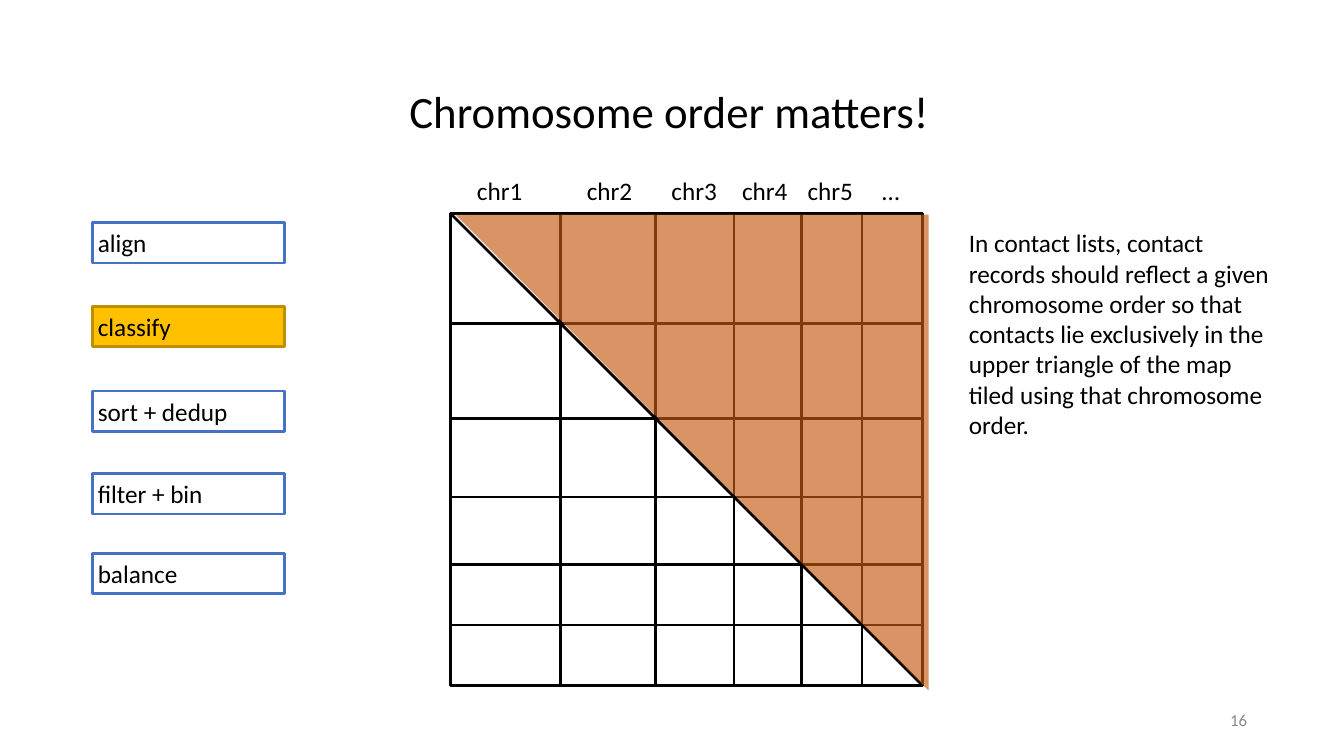
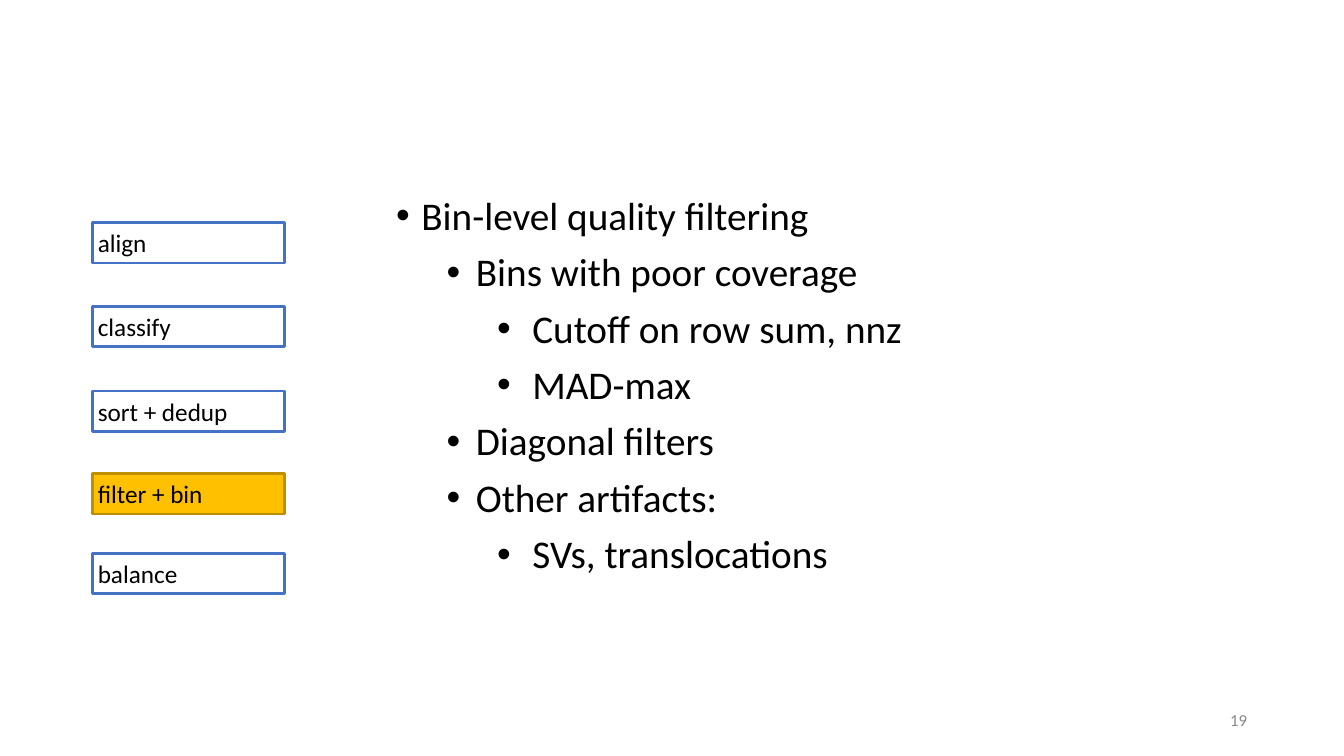
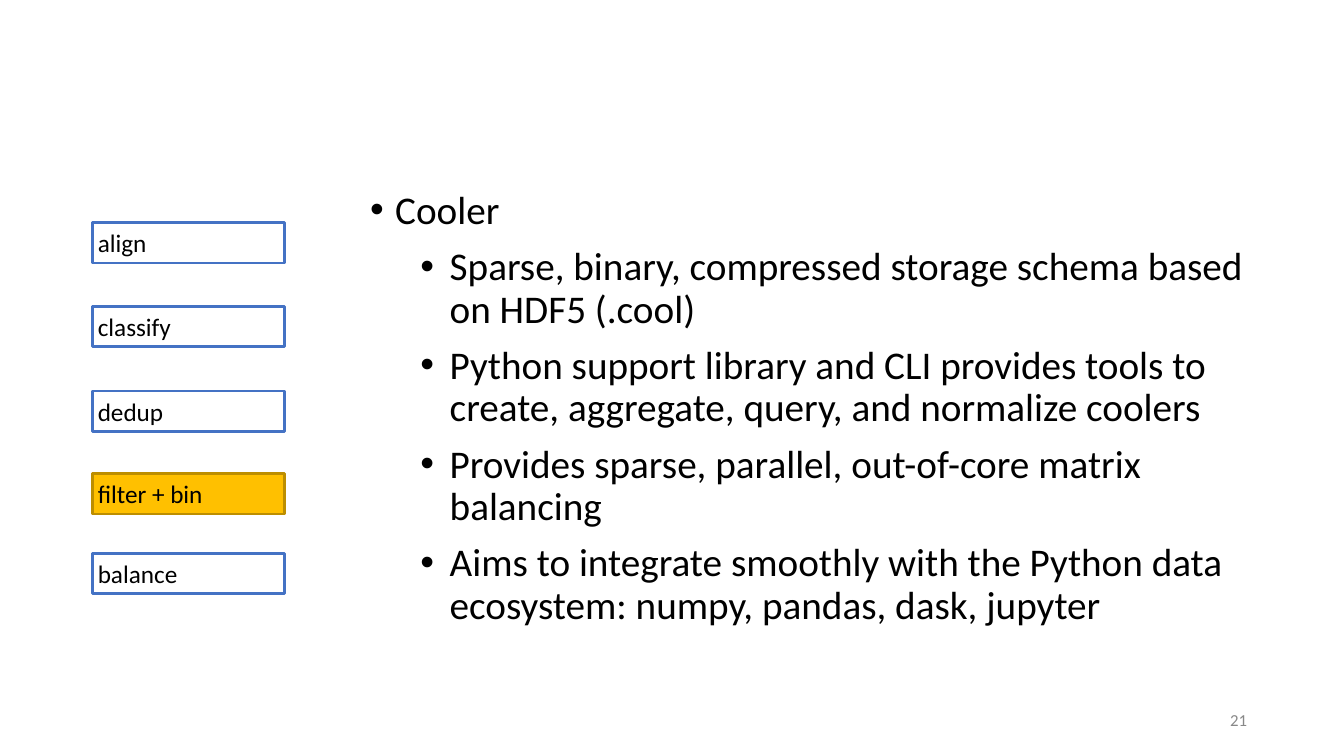
"""Build three slides on classifying, filtering and storing contact maps."""
from itertools import accumulate

from lxml.etree import SubElement
from pptx import Presentation
from pptx.dml.color import RGBColor
from pptx.enum.shapes import MSO_CONNECTOR, MSO_SHAPE
from pptx.enum.text import MSO_ANCHOR, MSO_AUTO_SIZE, PP_ALIGN
from pptx.oxml.ns import qn
from pptx.util import Inches, Pt

THEME = {
    "font": "Calibri",
    "text": "000000",
    "muted": "888888",
    "step": {"fill": "FFFFFF", "line": "4472C4"},
    "active": {"fill": "FFC000", "line": "BD8E00"},
    "map": {"fill": "FFFFFF", "line": "000000"},
    "triangle": "C55A11",
    "triangle_alpha": 65,
    "line_width": 2,
    "inset": 0.05,
    "title_size": 32,
    "list_size": 28,
    "label_size": 18,
    "number_size": 12,
}

STEP_LEFT, STEP_WIDTH, STEP_HEIGHT = 0.92, 1.9, 0.4
STEP_TOPS = (2.21, 3.04, 3.88, 4.7, 5.49)
STEPS = ("align", "classify", "sort + dedup", "filter + bin", "balance")
STEPS_SHORT = ("align", "classify", "dedup", "filter + bin", "balance")

NUMBER_BOX = (12.13, 7, 0.29, 0.29)
TITLE_BOX = (4.01, 0.78, 6.08, 0.64)
NOTE_BOX = (9.56, 2.21, 3.18, 2.22)
TRIANGLE_BOX = (4.52, 2.13, 4.69, 4.72)
LIST_SIZE = (8.8, 5)
LIST_INDENTS = ((0.25, -0.25), (0.79, -0.29), (1.35, -0.35))

MAP_LEFT, MAP_TOP = 4.47, 2.12
LABEL_TOP, LABEL_WIDTH, LABEL_HEIGHT = 1.69, 0.61, 0.4
CHROMOSOMES = (
    ("chr1", 1.09, 0.21),
    ("chr2", 0.94, 0.21),
    ("chr3", 0.78, 0.11),
    ("chr4", 0.67, 0.03),
    ("chr5", 0.6, 0.01),
    ("…", 0.6, 0.15),
)

ORDER_TITLE = "Chromosome order matters!"
ORDER_NOTE = (
    "In contact lists, contact records should reflect a given chromosome order "
    "so that contacts lie exclusively in the upper triangle of the map tiled "
    "using that chromosome order."
)

LIST_SLIDES = (
    {
        "number": "19",
        "steps": STEPS,
        "corner": (3.88, 1.9),
        "items": (
            (0, "Bin-level quality filtering"),
            (1, "Bins with poor coverage"),
            (2, "Cutoff on row sum, nnz"),
            (2, "MAD-max"),
            (1, "Diagonal filters"),
            (1, "Other artifacts:"),
            (2, "SVs, translocations"),
        ),
    },
    {
        "number": "21",
        "steps": STEPS_SHORT,
        "corner": (3.62, 1.84),
        "items": (
            (0, "Cooler"),
            (1, "Sparse, binary, compressed storage schema based on HDF5 (.cool)"),
            (1, "Python support library and CLI provides tools to create, "
                "aggregate, query, and normalize coolers"),
            (1, "Provides sparse, parallel, out-of-core matrix balancing"),
            (1, "Aims to integrate smoothly with the Python data ecosystem: "
                "numpy, pandas, dask, jupyter"),
        ),
    },
)


def color(name):
    return RGBColor.from_string(name)


def inches(values):
    return [Inches(value) for value in values]


def place(shape, box):
    for name, value in zip(("left", "top", "width", "height"), inches(box)):
        setattr(shape, name, value)


def format_frame(frame, anchor=MSO_ANCHOR.TOP, wrap=True):
    inset = Inches(THEME["inset"])
    values = {
        "margin_left": inset,
        "margin_right": inset,
        "margin_top": inset,
        "margin_bottom": inset,
        "vertical_anchor": anchor,
        "word_wrap": wrap,
        "auto_size": MSO_AUTO_SIZE.NONE,
    }
    for name, value in values.items():
        setattr(frame, name, value)


def write(paragraph, text, size, ink=THEME["text"], align=PP_ALIGN.LEFT):
    paragraph.alignment = align
    run = paragraph.add_run()
    run.text = text
    run.font.name = THEME["font"]
    run.font.size = Pt(size)
    run.font.color.rgb = color(ink)


def add_text(slide, text, box):
    frame = slide.shapes.add_textbox(*inches(box)).text_frame
    format_frame(frame)
    write(frame.paragraphs[0], text, THEME["label_size"])


def add_box(shapes, box, style):
    shape = shapes.add_shape(MSO_SHAPE.RECTANGLE, *inches(box))
    shape.shadow.inherit = False
    shape.fill.solid()
    shape.fill.fore_color.rgb = color(style["fill"])
    shape.line.color.rgb = color(style["line"])
    shape.line.width = Pt(THEME["line_width"])
    return shape


def add_line(shapes, *ends):
    line = shapes.add_connector(MSO_CONNECTOR.STRAIGHT, *inches(ends))
    line.line.color.rgb = color(THEME["map"]["line"])
    line.line.width = Pt(THEME["line_width"])
    SubElement(line._element.spPr, qn("a:effectLst"))


def add_slide(presentation, layout, number, steps, active):
    slide = presentation.slides.add_slide(presentation.slide_layouts[layout])
    frame = slide.shapes.add_textbox(*inches(NUMBER_BOX)).text_frame
    format_frame(frame, MSO_ANCHOR.MIDDLE, wrap=False)
    write(frame.paragraphs[0], number, THEME["number_size"], THEME["muted"],
          PP_ALIGN.RIGHT)
    for step, top in zip(steps, STEP_TOPS):
        style = THEME["active" if step == active else "step"]
        shape = add_box(slide.shapes, (STEP_LEFT, top, STEP_WIDTH, STEP_HEIGHT), style)
        format_frame(shape.text_frame, MSO_ANCHOR.MIDDLE)
        write(shape.text_frame.paragraphs[0], step, THEME["label_size"])
    return slide


def add_contact_map(slide):
    offsets = list(accumulate((width for _, width, _ in CHROMOSOMES), initial=0))
    side = offsets[-1]
    right, bottom = MAP_LEFT + side, MAP_TOP + side
    shapes = slide.shapes.add_group_shape().shapes
    add_box(shapes, (MAP_LEFT, MAP_TOP, side, side), THEME["map"])
    add_line(shapes, MAP_LEFT, MAP_TOP, right, bottom)
    for offset in offsets[1:-1]:
        add_line(shapes, MAP_LEFT + offset, MAP_TOP, MAP_LEFT + offset, bottom)
        add_line(shapes, right, MAP_TOP + offset, MAP_LEFT, MAP_TOP + offset)

    triangle = slide.shapes.add_shape(MSO_SHAPE.RIGHT_TRIANGLE, *inches(TRIANGLE_BOX))
    triangle.rotation = 180
    triangle.shadow.inherit = False
    triangle.line.fill.background()
    triangle.fill.solid()
    triangle.fill.fore_color.rgb = color(THEME["triangle"])
    fill_color = triangle._element.spPr.find(qn("a:solidFill"))[0]
    SubElement(fill_color, qn("a:alpha"), val=str(THEME["triangle_alpha"] * 1000))

    for (label, _, indent), offset in zip(CHROMOSOMES, offsets):
        left = MAP_LEFT + offset + indent
        add_text(slide, label, (left, LABEL_TOP, LABEL_WIDTH, LABEL_HEIGHT))


def fill_list(body, items):
    frame = body.text_frame
    format_frame(frame)
    for index, (level, text) in enumerate(items):
        paragraph = frame.add_paragraph() if index else frame.paragraphs[0]
        paragraph.level = level
        properties = paragraph._p.get_or_add_pPr()
        for name, value in zip(("marL", "indent"), inches(LIST_INDENTS[level])):
            properties.set(name, str(value))
        SubElement(properties, qn("a:buFont"), typeface="Arial")
        SubElement(properties, qn("a:buChar"), char="•")
        paragraph.line_spacing = 0.9
        paragraph.space_before = Pt(10 if index else 0)
        write(paragraph, text, THEME["list_size"])


def add_order_slide(presentation):
    slide = add_slide(presentation, 5, "16", STEPS, "classify")
    title = slide.shapes.title
    place(title, TITLE_BOX)
    format_frame(title.text_frame)
    write(title.text_frame.paragraphs[0], ORDER_TITLE, THEME["title_size"])
    add_contact_map(slide)
    add_text(slide, ORDER_NOTE, NOTE_BOX)


def add_list_slide(presentation, content):
    slide = add_slide(presentation, 1, content["number"], content["steps"],
                      "filter + bin")
    title = slide.shapes.title._element
    title.getparent().remove(title)
    body = slide.placeholders[1]
    place(body, content["corner"] + LIST_SIZE)
    fill_list(body, content["items"])


def main():
    presentation = Presentation()
    presentation.slide_width = Inches(13.33)
    presentation.slide_height = Inches(7.5)
    add_order_slide(presentation)
    for content in LIST_SLIDES:
        add_list_slide(presentation, content)
    presentation.save("out.pptx")


if __name__ == "__main__":
    main()
